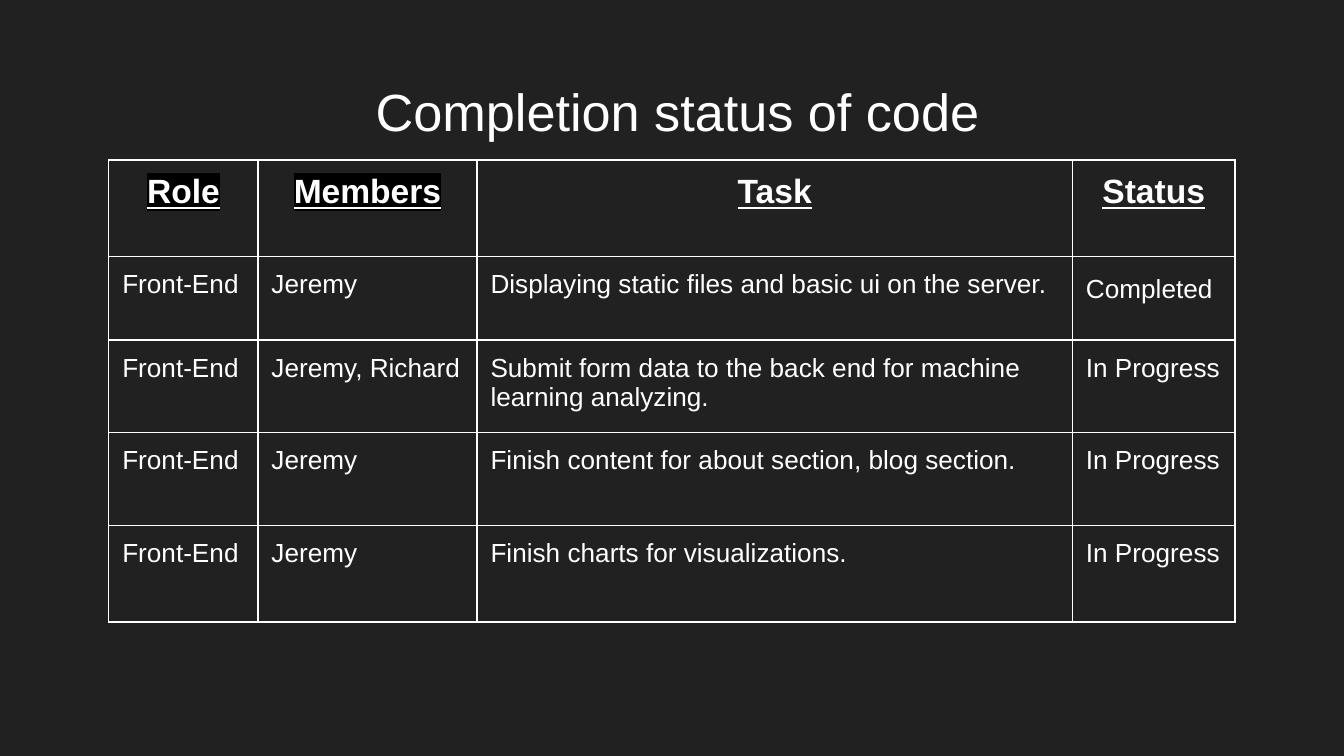
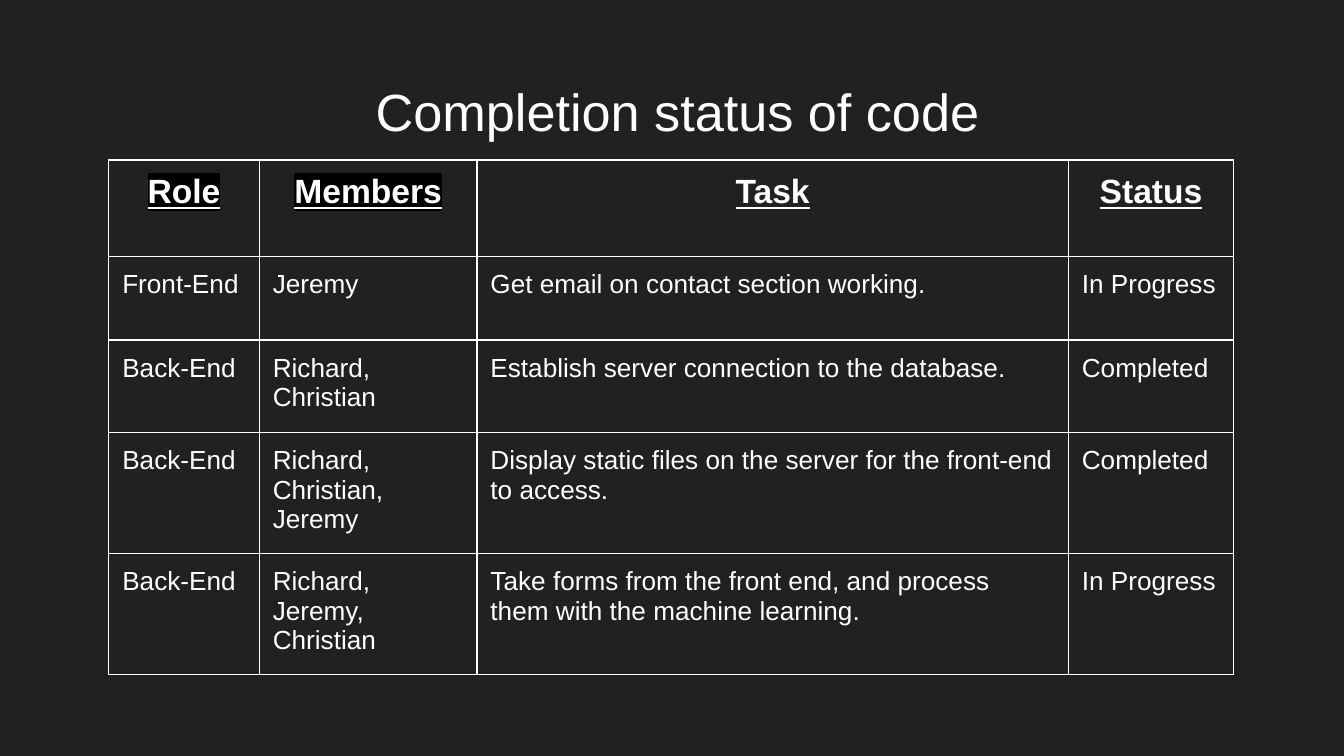
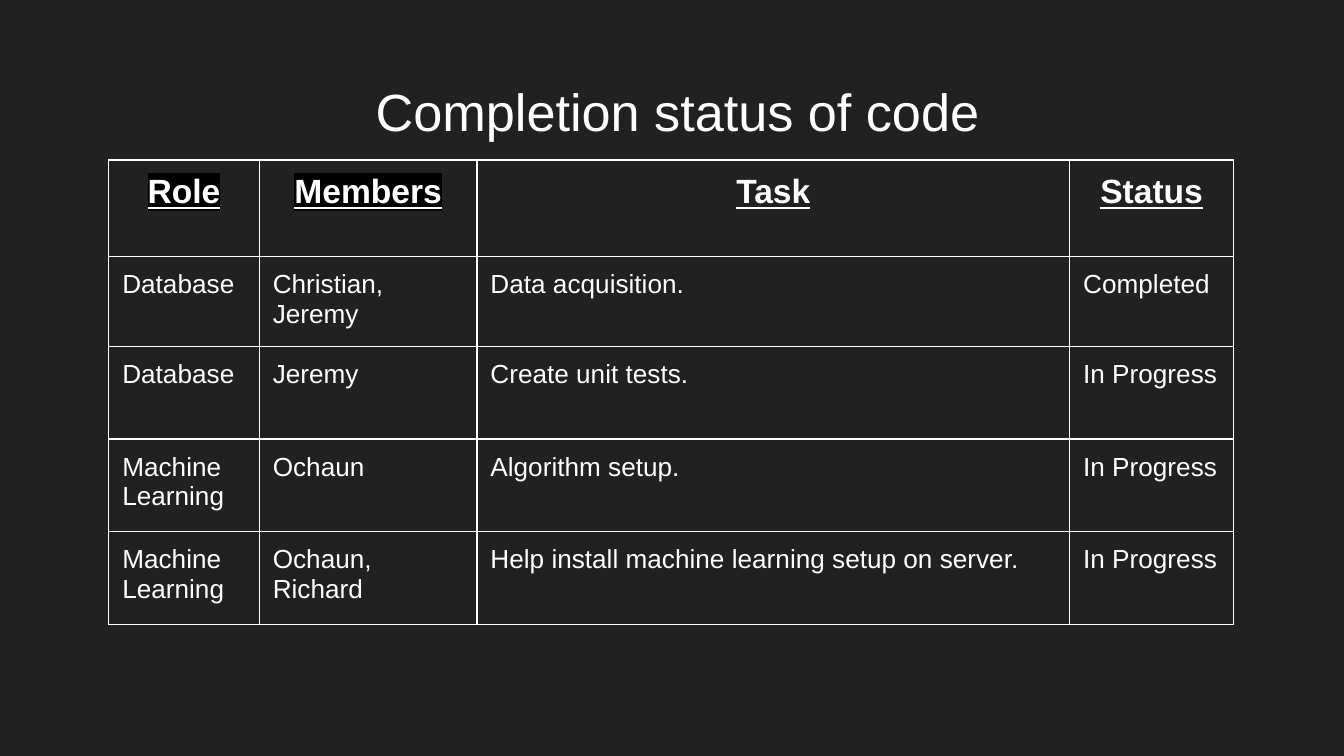
from pptx import Presentation
from pptx.dml.color import RGBColor
from pptx.enum.text import MSO_ANCHOR, PP_ALIGN
from pptx.oxml import parse_xml
from pptx.oxml.ns import nsdecls, qn
from pptx.util import Inches, Pt

BACKGROUND = "212121"
WHITE = "FFFFFF"
HIGHLIGHT = "000000"
FONT = "Arial"
TITLE = "Completion status of code"
HEADERS = ["Role", "Members", "Task", "Status"]
HIGHLIGHTED = ["Role", "Members"]

status_tables = [
    {
        "cols": [1.11, 1.63, 4.43, 1.21],
        "rows": [0.72, 0.62, 0.69, 0.69, 0.72],
        "tasks": [
            ["Front-End", "Jeremy", "Displaying static files and basic ui on the server.", "Completed"],
            ["Front-End", "Jeremy, Richard",
             "Submit form data to the back end for machine learning analyzing.", "In Progress"],
            ["Front-End", "Jeremy", "Finish content for about section, blog section.", "In Progress"],
            ["Front-End", "Jeremy", "Finish charts for visualizations.", "In Progress"],
        ],
    },
    {
        "cols": [1.12, 1.62, 4.4, 1.23],
        "rows": [0.72, 0.62, 0.69, 0.69, 0.72],
        "tasks": [
            ["Front-End", "Jeremy", "Get email on contact section working.", "In Progress"],
            ["Back-End", "Richard, Christian", "Establish server connection to the database.", "Completed"],
            ["Back-End", "Richard, Christian, Jeremy",
             "Display static files on the server for the front-end to access.", "Completed"],
            ["Back-End", "Richard, Jeremy, Christian",
             "Take forms from the front end, and process them with the machine learning.", "In Progress"],
        ],
    },
    {
        "cols": [1.12, 1.62, 4.41, 1.22],
        "rows": [0.72, 0.62, 0.69, 0.69, 0.69],
        "tasks": [
            ["Database", "Christian, Jeremy", "Data acquisition.", "Completed"],
            ["Database", "Jeremy", "Create unit tests.", "In Progress"],
            ["Machine Learning", "Ochaun", "Algorithm setup.", "In Progress"],
            ["Machine Learning", "Ochaun, Richard",
             "Help install machine learning setup on server.", "In Progress"],
        ],
    },
]


def rgb(value):
    return RGBColor.from_string(value)


def add_run(p, text, size):
    p.line_spacing = 1.0
    p.space_before = p.space_after = Pt(0)
    r = p.add_run()
    r.text = text
    r.font.name = FONT
    r.font.size = Pt(size)
    r.font.color.rgb = rgb(WHITE)
    return r


prs = Presentation()
prs.slide_width = Inches(10)
prs.slide_height = prs.slide_width * 9 // 16
tables = []

for status in status_tables:
    s = prs.slides.add_slide(prs.slide_layouts[6])
    s.background.fill.solid()
    s.background.fill.fore_color.rgb = rgb(BACKGROUND)

    title = s.shapes.add_textbox(Inches(0.9), Inches(0.49), Inches(8.28), Inches(0.63))
    tf = title.text_frame
    tf.word_wrap = True
    tf.vertical_anchor = MSO_ANCHOR.TOP
    tf.margin_left = tf.margin_right = Inches(0.1)
    tf.margin_top = tf.margin_bottom = Inches(0.1)
    p = tf.paragraphs[0]
    p.alignment = PP_ALIGN.CENTER
    add_run(p, TITLE, 28)

    cols, rows = status["cols"], status["rows"]
    table = s.shapes.add_table(len(rows), len(cols), Inches(0.81), Inches(1.19),
                               Inches(sum(cols)), Inches(sum(rows))).table
    table.first_row = False
    table.horz_banding = False
    tables.append(table)
    for column, width in zip(table.columns, cols):
        column.width = Inches(width)
    for row, height in zip(table.rows, rows):
        row.height = Inches(height)

    for i, texts in enumerate([HEADERS] + status["tasks"]):
        for j, text in enumerate(texts):
            cell = table.cell(i, j)
            cell.margin_left = cell.margin_right = Inches(0.1)
            cell.margin_top = cell.margin_bottom = Inches(0.1)
            tcPr = cell._tc.get_or_add_tcPr()
            for side in ["lnL", "lnR", "lnT", "lnB"]:
                tcPr.append(parse_xml(
                    f'<a:{side} {nsdecls("a")} w="{Pt(0.75)}"><a:solidFill>'
                    f'<a:srgbClr val="{WHITE}"/></a:solidFill></a:{side}>'))
            cell.fill.background()

            p = cell.text_frame.paragraphs[0]
            if i > 0:
                add_run(p, text, 14)
                continue
            p.alignment = PP_ALIGN.CENTER
            r = add_run(p, text, 18)
            r.font.bold = True
            r.font.underline = True
            if text in HIGHLIGHTED:
                r._r.rPr.find(qn("a:solidFill")).addnext(parse_xml(
                    f'<a:highlight {nsdecls("a")}><a:srgbClr val="{HIGHLIGHT}"/></a:highlight>'))

p = tables[0].cell(1, 3).text_frame.paragraphs[0]
p.line_spacing = 1.15
p.space_after = Pt(16)

prs.save("out.pptx")
